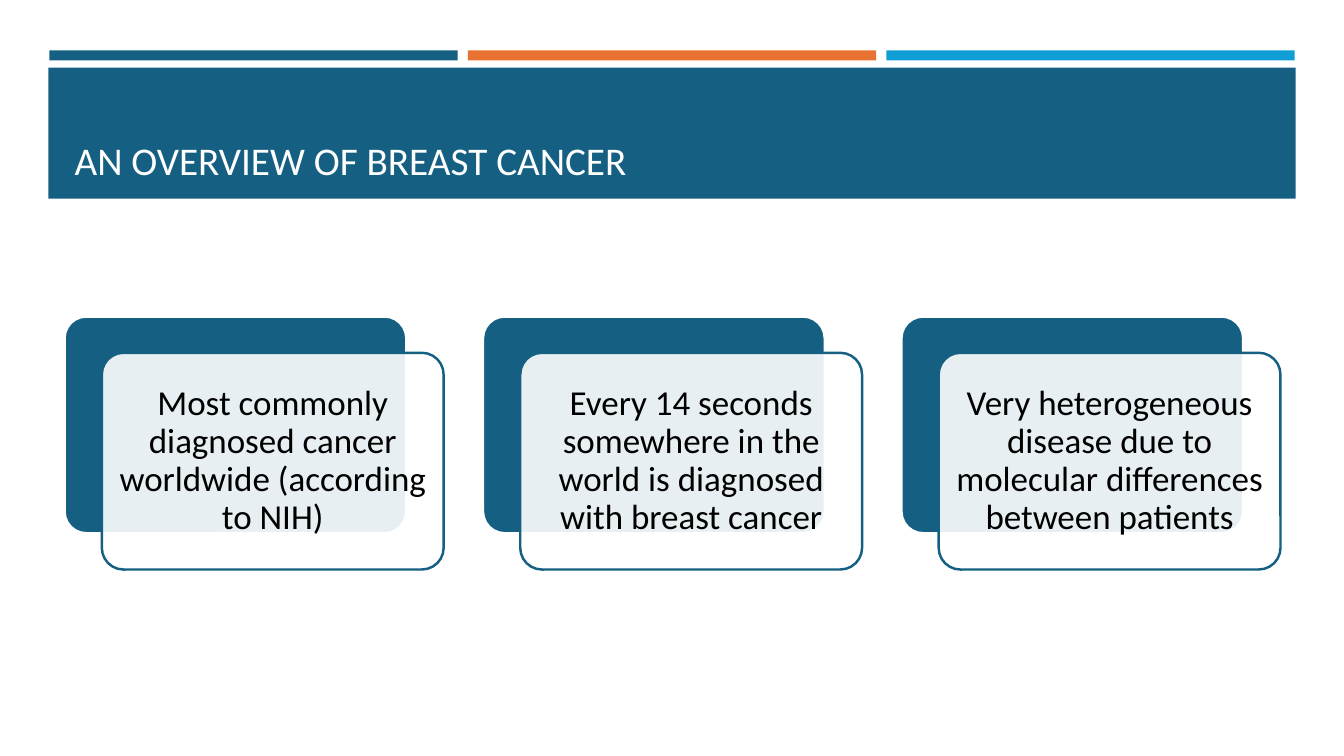
import pptx
import pptx.dml.color
import pptx.enum.shapes
import pptx.enum.text
import pptx.oxml
import pptx.oxml.ns
import pptx.util

TITLE = "AN OVERVIEW OF BREAST CANCER"
FACTS = [
    "Most commonly diagnosed cancer worldwide (according to NIH)",
    "Every 14 seconds somewhere in the world is diagnosed with breast cancer",
    "Very heterogeneous disease due to molecular differences between patients",
]
TEAL, ORANGE, BLUE = "156082", "E97132", "0F9ED5"
WHITE, OFF_WHITE, BLACK = "FFFFFF", "FFFEFF", "000000"
STRIPES = [TEAL, ORANGE, BLUE]
FONT = "Calibri"

# Inches
SLIDE_W, SLIDE_H = 13.33, 7.5
PITCH = 4.15
STRIPE_LEFT, STRIPE_TOP, STRIPE_W, STRIPE_H = 0.49, 0.5, 4.05, 0.1
BAND = (0.48, 0.67, 12.37, 1.3)
TITLE_BOX = (0.64, 0.77, 12.06, 1.11)
CARD_LEFT, CARD_TOP, CARD_W, CARD_H = 0.64, 3.14, 3.39, 2.15
SHIFT_X, SHIFT_Y = 0.37, 0.36
INSET = 0.1

SHAPE = pptx.enum.shapes.MSO_SHAPE
inch = pptx.util.Inches


def rgb(value):
    return pptx.dml.color.RGBColor.from_string(value)


def add_block(page, kind, place, fill, line=None):
    """Add a filled shape without shadow, outlined only when line is given."""
    block = page.shapes.add_shape(kind, *map(inch, place))
    block.shadow.inherit = False
    block.fill.solid()
    block.fill.fore_color.rgb = rgb(fill)
    if line:
        block.adjustments[0] = 0.1
        block.line.color.rgb = rgb(line)
        block.line.width = pptx.util.Pt(1.75)
    else:
        block.line.fill.background()
    return block


def set_opacity(shape, percent):
    color = shape.element.spPr.find(
        pptx.oxml.ns.qn("a:solidFill") + "/" + pptx.oxml.ns.qn("a:srgbClr"))
    color.append(pptx.oxml.parse_xml(
        f'<a:alpha {pptx.oxml.ns.nsdecls("a")} val="{percent * 1000}"/>'))


def write(shape, text, size, color, anchor, align):
    frame = shape.text_frame
    frame.text = text
    frame.word_wrap = True
    frame.auto_size = pptx.enum.text.MSO_AUTO_SIZE.NONE
    frame.vertical_anchor = anchor
    para = frame.paragraphs[0]
    para.alignment = align
    para.line_spacing = 0.9
    para.font.name = FONT
    para.font.size = pptx.util.Pt(size)
    para.font.color.rgb = rgb(color)
    return frame


def add_header(page):
    for column, color in enumerate(STRIPES):
        left = STRIPE_LEFT + column * PITCH
        add_block(page, SHAPE.RECTANGLE, (left, STRIPE_TOP, STRIPE_W, STRIPE_H), color)
    band = add_block(page, SHAPE.RECTANGLE, BAND, TEAL)
    title = page.shapes.title
    title.left, title.top, title.width, title.height = map(inch, TITLE_BOX)
    write(title, TITLE, 28, OFF_WHITE, pptx.enum.text.MSO_ANCHOR.BOTTOM,
          pptx.enum.text.PP_ALIGN.LEFT)
    band.element.addnext(title.element)  # title in front of its band


def add_card(page, column, fact):
    left = CARD_LEFT + column * PITCH
    add_block(page, SHAPE.ROUNDED_RECTANGLE, (left, CARD_TOP, CARD_W, CARD_H), TEAL, WHITE)
    card = add_block(page, SHAPE.ROUNDED_RECTANGLE,
                     (left + SHIFT_X, CARD_TOP + SHIFT_Y, CARD_W, CARD_H), WHITE, TEAL)
    set_opacity(card, 90)
    frame = write(card, fact, 25, BLACK, pptx.enum.text.MSO_ANCHOR.MIDDLE,
                  pptx.enum.text.PP_ALIGN.CENTER)
    frame.margin_left = frame.margin_right = inch(INSET)
    frame.margin_top = frame.margin_bottom = inch(INSET)


def main():
    deck = pptx.Presentation()
    deck.slide_width, deck.slide_height = inch(SLIDE_W), inch(SLIDE_H)
    page = deck.slides.add_slide(deck.slide_layouts.get_by_name("Title Only"))
    add_header(page)
    for column, fact in enumerate(FACTS):
        add_card(page, column, fact)
    deck.save("out.pptx")


if __name__ == "__main__":
    main()
